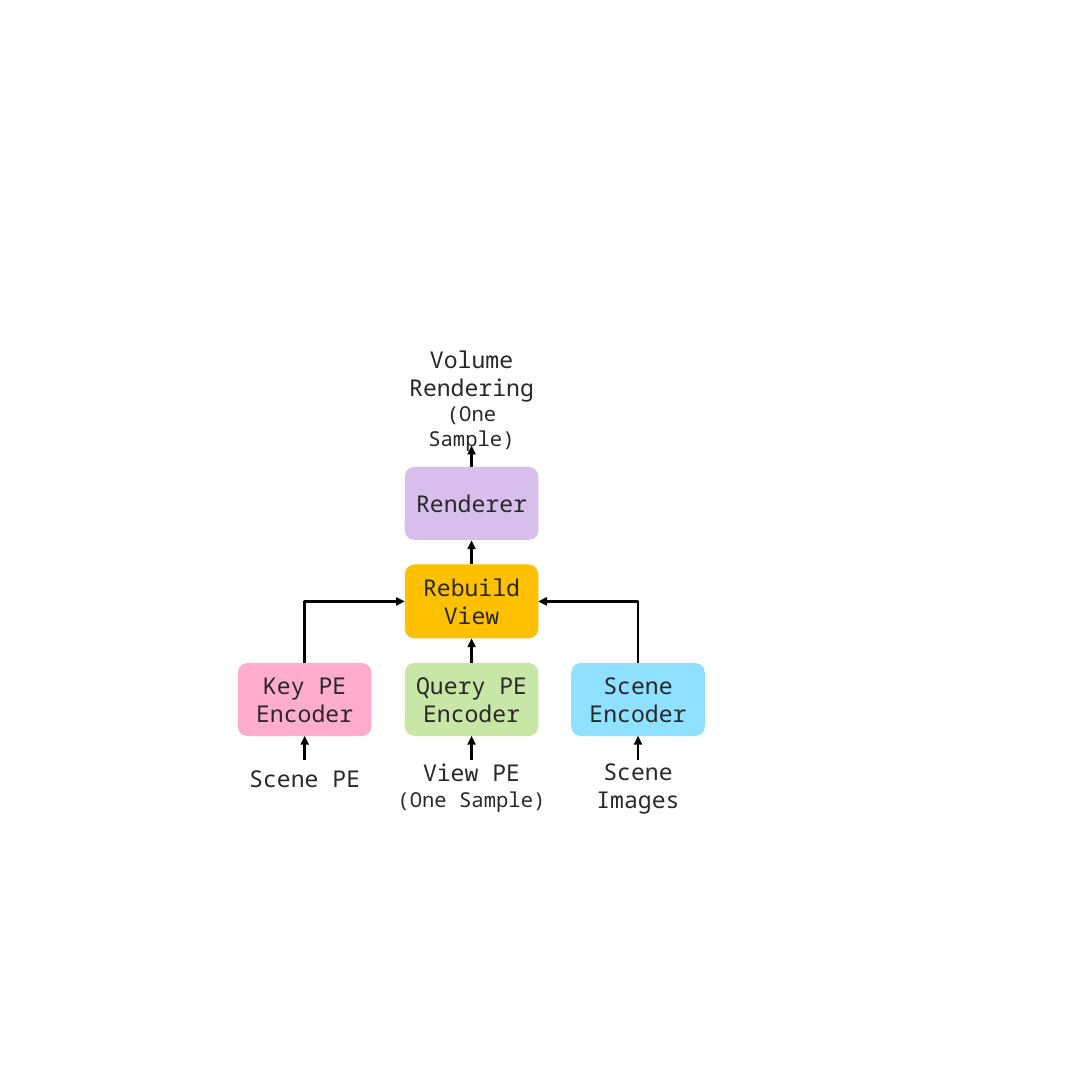
"""Build a slide showing a view rendering pipeline of encoders and a renderer."""
from lxml import etree
from pptx import Presentation
from pptx import util as u
from pptx.dml.color import RGBColor
from pptx.enum import shapes, text
from pptx.oxml.ns import qn

BLACK = RGBColor(0x00, 0x00, 0x00)
INK = RGBColor(0x28, 0x28, 0x28)
AMBER = RGBColor(0xFF, 0xC0, 0x00)
LILAC = RGBColor(0xD8, 0xBE, 0xEC)
PINK = RGBColor(0xFF, 0x5B, 0x9D)
GREEN = RGBColor(0x92, 0xD0, 0x50)
BLUE = RGBColor(0x21, 0xC5, 0xFF)

FONT = "Noto Sans Mono"
KEY_X, QUERY_X, SCENE_X = 6.59, 10.2, 13.8
BOX_WIDTH, BOX_HEIGHT = 2.89, 1.58
ENCODER_TOP, ENCODER_BOTTOM, INPUT_TOP = 14.34, 15.92, 16.43
REBUILD_TOP, REBUILD_MIDDLE, REBUILD_BOTTOM = 12.21, 13.01, 13.81
RENDERER_TOP, RENDERER_BOTTOM = 10.1, 11.69
OUTPUT_BOTTOM = 9.64


def add_arrow(slide, tip, tail):
    """Draw an arrow to tip; it turns once if tip and tail are not in one column."""
    points = [u.Inches(value) for value in (*tip, *tail)]
    bent = tip[0] != tail[0]
    kind = shapes.MSO_CONNECTOR.ELBOW if bent else shapes.MSO_CONNECTOR.STRAIGHT
    arrow = slide.shapes.add_connector(kind, *points)
    arrow.line.color.rgb = BLACK
    arrow.line.width = u.Pt(4.5)
    properties = arrow.element.spPr
    if bent:
        properties.find(qn("a:prstGeom")).set("prst", "bentConnector2")
    etree.SubElement(properties.find(qn("a:ln")), qn("a:headEnd"), type="triangle")
    etree.SubElement(properties, qn("a:effectLst"))


def add_block(slide, center, top, width, height, lines, fill=None, alpha=100):
    """Draw a rounded block; lines in brackets are set smaller."""
    block = slide.shapes.add_shape(
        shapes.MSO_SHAPE.ROUNDED_RECTANGLE, u.Inches(center - width / 2),
        u.Inches(top), u.Inches(width), u.Inches(height))
    block.adjustments[0] = 0.13
    block.shadow.inherit = False
    block.line.fill.background()
    if fill is None:
        block.fill.background()
    else:
        block.fill.solid()
        block.fill.fore_color.rgb = fill
        if alpha < 100:
            color = block.element.spPr.find(qn("a:solidFill"))[0]
            etree.SubElement(color, qn("a:alpha"), val=str(alpha * 1000))
    frame = block.text_frame
    frame.word_wrap = True
    frame.vertical_anchor = text.MSO_ANCHOR.MIDDLE
    frame.text = lines
    for paragraph in frame.paragraphs:
        paragraph.alignment = text.PP_ALIGN.CENTER
        for run in paragraph.runs:
            run.font.name = FONT
            run.font.size = u.Pt(32 if run.text.startswith("(") else 36)
            run.font.color.rgb = INK


presentation = Presentation()
presentation.slide_width = presentation.slide_height = u.Inches(23.62)
slide = presentation.slides.add_slide(presentation.slide_layouts[6])

for column in (KEY_X, QUERY_X, SCENE_X):
    add_arrow(slide, (column, ENCODER_BOTTOM), (column, INPUT_TOP))
for tip, tail in ((REBUILD_BOTTOM, ENCODER_TOP), (RENDERER_BOTTOM, REBUILD_TOP),
                  (OUTPUT_BOTTOM, RENDERER_TOP)):
    add_arrow(slide, (QUERY_X, tip), (QUERY_X, tail))
for column, side in ((KEY_X, -1), (SCENE_X, 1)):
    edge = QUERY_X + side * BOX_WIDTH / 2
    add_arrow(slide, (edge, REBUILD_MIDDLE), (column, ENCODER_TOP))

for column, lines, fill in ((KEY_X, "Key PE\nEncoder", PINK),
                            (QUERY_X, "Query PE\nEncoder", GREEN),
                            (SCENE_X, "Scene Encoder", BLUE)):
    add_block(slide, column, ENCODER_TOP, BOX_WIDTH, BOX_HEIGHT, lines, fill, 50)
add_block(slide, QUERY_X, REBUILD_TOP, BOX_WIDTH, 1.6, "Rebuild\nView", AMBER)
add_block(slide, QUERY_X, RENDERER_TOP, BOX_WIDTH, BOX_HEIGHT, "Renderer", LILAC)

for column, width, height, lines in ((KEY_X, 2.73, 0.79, "Scene PE"),
                                     (QUERY_X, 3.66, 1.1, "View PE\n(One Sample)"),
                                     (SCENE_X, 2.47, 1.1, "Scene Images")):
    add_block(slide, column, INPUT_TOP, width, height, lines)
add_block(slide, QUERY_X, 7.58, 3.33, 2.05, "Volume\nRendering\n(One Sample)")

presentation.save("out.pptx")
